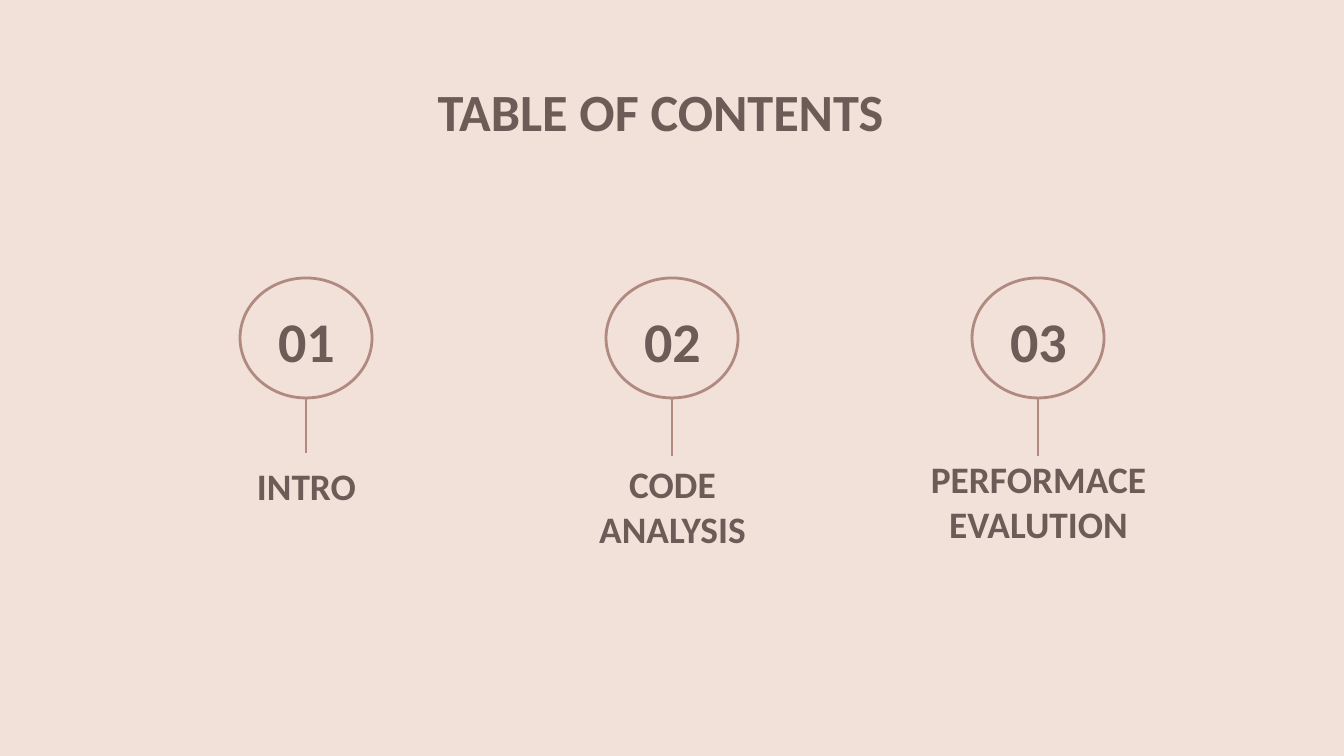
"""Build a table of contents slide with three numbered sections."""
from lxml import etree
from pptx import Presentation
from pptx.dml.color import RGBColor
from pptx.enum.shapes import MSO_CONNECTOR, MSO_SHAPE
from pptx.enum.text import MSO_ANCHOR, MSO_AUTO_SIZE, PP_ALIGN
from pptx.oxml.ns import qn
from pptx.util import Pt

STRAIGHT, OVAL = MSO_CONNECTOR.STRAIGHT, MSO_SHAPE.OVAL
TOP, MIDDLE = MSO_ANCHOR.TOP, MSO_ANCHOR.MIDDLE
CENTER, NO_FIT = PP_ALIGN.CENTER, MSO_AUTO_SIZE.NONE
SCALE = 914400 / 134.4
COLORS = {"background": "F2E1D8", "text": "6D5B57", "line": "B08980"}


def px(*lengths):
    return [round(length * SCALE) for length in lengths]


def write(box, text, size, anchor=MIDDLE, right=13):
    frame = box.text_frame
    left_inset, right_inset = px(13, right)
    layout = {"word_wrap": True, "auto_size": NO_FIT, "vertical_anchor": anchor,
              "margin_left": left_inset, "margin_right": right_inset,
              "margin_top": left_inset, "margin_bottom": left_inset}
    for name, value in layout.items():
        setattr(frame, name, value)
    frame.text = text
    para = frame.paragraphs[0]
    para.alignment = CENTER
    for span in para.runs:
        for name, value in {"name": "Calibri", "size": Pt(size), "bold": True}.items():
            setattr(span.font, name, value)
        span.font.color.rgb = RGBColor.from_string(COLORS["text"])


deck = Presentation()
deck.slide_width, deck.slide_height = px(1344, 756)
page = deck.slides.add_slide(deck.slide_layouts[5])
page.background.fill.solid()
page.background.fill.fore_color.rgb = RGBColor.from_string(COLORS["background"])

title = page.shapes.title
title.left, title.top, title.width, title.height = px(106, 66, 1133, 85)
write(title, "TABLE OF CONTENTS", 28, TOP, 37)

sections = [
    ("INTRO", 453, 319, 65, 453),
    ("CODE\vANALYSIS", 474, 319, 65, 456),
    ("PERFORMACE\vEVALUTION", 427, 337, 149, 456),
]
for index, (label, label_top, label_width, label_height, stem_end) in enumerate(sections):
    center = 672 + (index - 1) * 366

    circle = page.shapes.add_shape(OVAL, *px(center - 66, 278, 132, 120))
    circle.shadow.inherit = False
    circle.fill.background()

    stem = page.shapes.add_connector(STRAIGHT, *px(center, 398, center, stem_end))
    etree.SubElement(stem._element.spPr, qn("a:effectLst"))

    for outlined in (circle, stem):
        outlined.line.color.rgb = RGBColor.from_string(COLORS["line"])
        outlined.line.width = Pt(1.5)
    stem_effects = stem._element.spPr.find(qn("a:effectLst"))
    stem._element.spPr.append(stem_effects)

    number_box = page.shapes.add_textbox(*px(center - 159, 304, 319, 73))
    write(number_box, f"{index + 1:02}", 30)

    label_box = page.shapes.add_textbox(
        *px(center - label_width // 2, label_top, label_width, label_height))
    write(label_box, label, 20)

deck.save("out.pptx")
